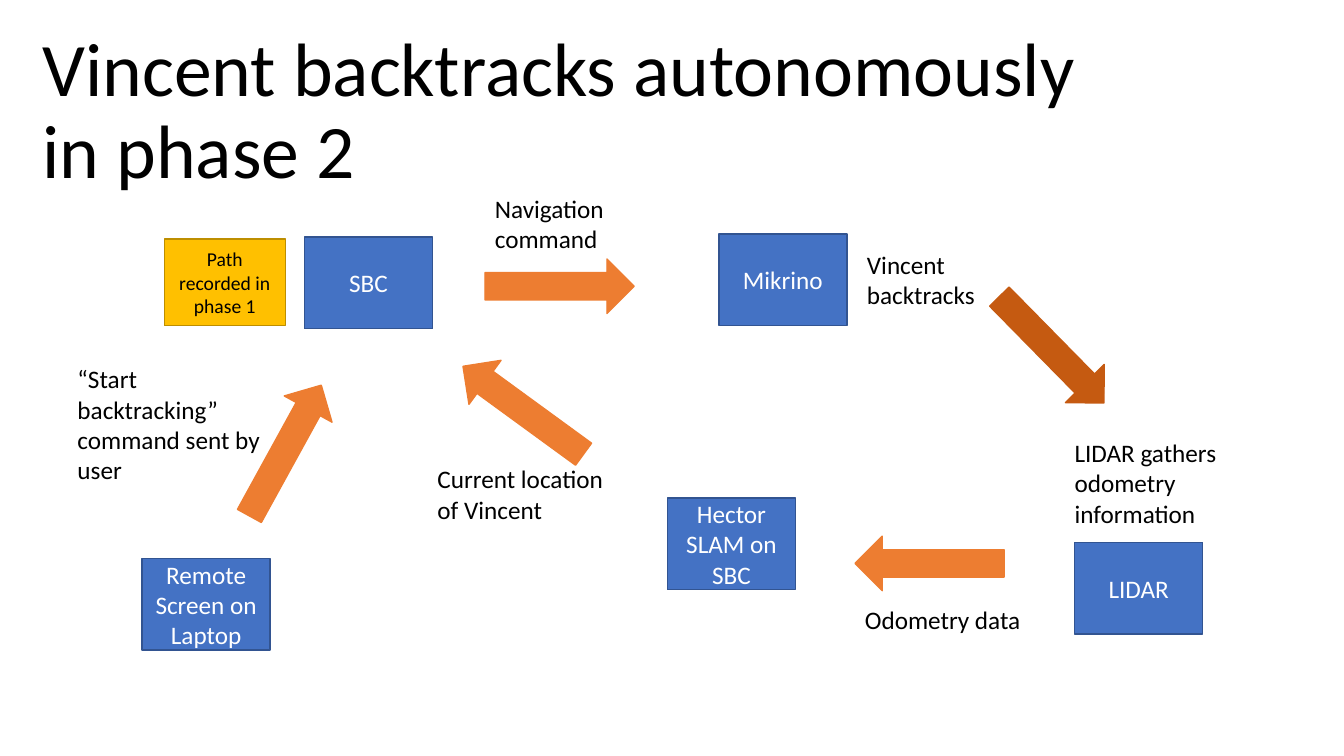
from pptx import Presentation
from pptx.dml.color import RGBColor
from pptx.enum.shapes import MSO_SHAPE
from pptx.enum.text import MSO_ANCHOR, MSO_AUTO_SIZE, PP_ALIGN
from pptx.util import Inches, Pt

PROCESS, UP_ARROW = MSO_SHAPE.FLOWCHART_PROCESS, MSO_SHAPE.UP_ARROW
TOP, MIDDLE, BOTTOM = MSO_ANCHOR.TOP, MSO_ANCHOR.MIDDLE, MSO_ANCHOR.BOTTOM
LEFT, CENTER = PP_ALIGN.LEFT, PP_ALIGN.CENTER
NO_AUTOFIT, GROW = MSO_AUTO_SIZE.NONE, MSO_AUTO_SIZE.SHAPE_TO_FIT_TEXT

FONT = "Calibri"
COLORS = {
    "black": "000000", "white": "FFFFFF",
    "blue": "4472C4", "blue_edge": "325491",
    "gold": "FFC000", "gold_edge": "BD8E00",
    "orange": "ED7D31", "rust": "C55A11",
}
NODE_SIZE = (1.27, 0.91)
ARROW_SIZE = (0.54, 1.48)

# Text, left, top
NODES = [
    ("Mikrino", 7.13, 2.32),
    ("SBC", 3.02, 2.35),
    ("Remote Screen on Laptop", 1.41, 5.54),
    ("Hector SLAM on SBC", 6.62, 4.94),
    ("LIDAR", 10.66, 5.38),
]
# Left, top, clockwise rotation, color
ARROWS = [
    (2.56, 3.73, 28.8, "orange"),
    (4.92, 3.33, 306.1, "orange"),
    (5.28, 2.1, 90, "orange"),
    (8.95, 4.85, 270, "orange"),
    (10.16, 2.73, 135.5, "rust"),
]
# Text, box
LABELS = [
    ("Odometry data", (8.48, 5.95, 1.91, 0.4)),
    ("“Start backtracking” command sent by user", (0.67, 3.56, 2.01, 1.31)),
    ("LIDAR gathers odometry information", (10.56, 4.29, 1.67, 1.01)),
    ("Vincent backtracks", (8.5, 2.42, 1.48, 0.71)),
    ("Navigation command", (4.81, 1.87, 1.85, 0.71)),
    ("Current location of Vincent", (4.24, 4.55, 2.08, 0.71)),
]


def rgb(name):
    return RGBColor.from_string(COLORS[name])


def inches(box):
    return [Inches(value) for value in box]


def write(shape, text, size, color, align=LEFT, anchor=TOP, auto_size=NO_AUTOFIT):
    frame = shape.text_frame
    frame.word_wrap = True
    frame.auto_size = auto_size
    frame.vertical_anchor = anchor
    paragraph = frame.paragraphs[0]
    paragraph.alignment = align
    run = paragraph.add_run()
    run.text = text
    run.font.name = FONT
    run.font.size = Pt(size)
    run.font.color.rgb = rgb(color)
    return paragraph


def add_filled_shape(slide, kind, box, fill, edge):
    shape = slide.shapes.add_shape(kind, *inches(box))
    shape.shadow.inherit = False
    shape.fill.solid()
    shape.fill.fore_color.rgb = rgb(fill)
    shape.line.color.rgb = rgb(edge)
    shape.line.width = Pt(1)
    return shape


def add_title(slide, text, box):
    title = slide.shapes.title
    title.left, title.top, title.width, title.height = inches(box)
    paragraph = write(title, text, 54, "black", anchor=BOTTOM)
    paragraph.line_spacing = 0.9


def add_node(slide, text, box, fill="blue", size=18, color="white"):
    node = add_filled_shape(slide, PROCESS, box, fill, f"{fill}_edge")
    write(node, text, size, color, CENTER, MIDDLE)


def add_arrow(slide, box, rotation, color):
    arrow = add_filled_shape(slide, UP_ARROW, box, color, color)
    arrow.rotation = rotation


def add_label(slide, text, box):
    label = slide.shapes.add_textbox(*inches(box))
    write(label, text, 18, "black", auto_size=GROW)


def build_backtracking_slide(presentation):
    slide = presentation.slides.add_slide(presentation.slide_layouts[0])
    subtitle = slide.placeholders[1].element
    subtitle.getparent().remove(subtitle)

    add_title(slide, "Vincent backtracks autonomously in phase 2",
              (0.32, 0.12, 10.59, 1.86))
    for text, left, top in NODES:
        add_node(slide, text, (left, top, *NODE_SIZE))
    for left, top, rotation, color in ARROWS:
        add_arrow(slide, (left, top, *ARROW_SIZE), rotation, color)
    for text, box in LABELS:
        add_label(slide, text, box)
    add_node(slide, "Path recorded in phase 1", (1.63, 2.37, 1.2, 0.86),
             fill="gold", size=14, color="black")


def main():
    presentation = Presentation()
    presentation.slide_width = Inches(13.33)
    presentation.slide_height = Inches(7.5)
    build_backtracking_slide(presentation)
    presentation.save("out.pptx")


if __name__ == "__main__":
    main()
